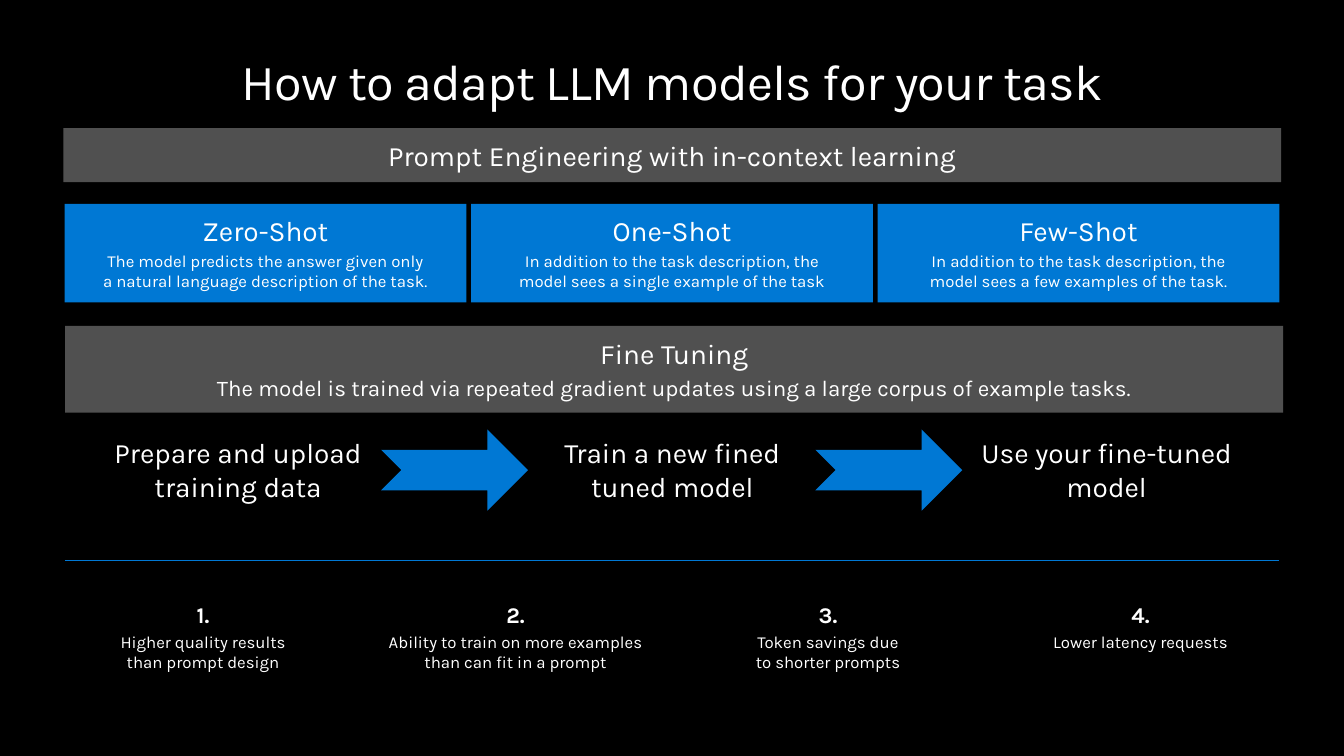
from copy import deepcopy

from pptx import Presentation
from pptx.dml.color import RGBColor
from pptx.enum import shapes, text
from pptx.oxml.ns import qn
from pptx.util import Pt
from lxml import etree

BLACK, WHITE, BLUE, GREY = "000000", "FFFFFF", "0078D4", "505050"


def paint(fill, color):
    fill.solid()
    fill.fore_color.rgb = RGBColor.from_string(color)


def write(shape, words, size=20, bold=False, before=0, after=0, spacing=0,
          margins=(7.2, 7.2), anchor=text.MSO_ANCHOR.TOP):
    """Add a centred paragraph to the shape, filling its empty first one if any."""
    frame = shape.text_frame
    frame.word_wrap = True
    frame.vertical_anchor = anchor
    frame.margin_left = frame.margin_right = Pt(margins[0])
    frame.margin_top = frame.margin_bottom = Pt(margins[1])
    paragraph = frame.add_paragraph() if frame.text else frame.paragraphs[0]
    paragraph.text = words
    paragraph.alignment = text.PP_ALIGN.CENTER
    paragraph.space_before, paragraph.space_after = Pt(before), Pt(after)
    for run in paragraph.runs:
        run.font.name, run.font.size, run.font.bold = "Karla", Pt(size), bold
        paint(run.font.fill, WHITE)
        if spacing:
            run.font._element.set("spc", str(int(spacing * 100)))
    # Line breaks take the run format, so that they keep the line height
    for line_break in paragraph._p.findall(qn("a:br")):
        line_break.insert(0, deepcopy(paragraph.runs[0].font._element))


deck = Presentation()
deck.slide_width, deck.slide_height = Pt(960), Pt(540)
slide = deck.slides.add_slide(deck.slide_layouts[5])
paint(slide.background.fill, BLACK)

# Title
title = slide.shapes.title
title.left, title.top, title.width, title.height = Pt(46), Pt(36), Pt(868), Pt(44)
write(title, "How to adapt LLM models for your task", size=36, spacing=-0.5, margins=(0, 0))

# Filled panels: two grey bands and three blue cards
panels = [
    (45.2, 91.6, 870, 38.6, GREY, "Prompt Engineering with in-context learning", None, 0),
    (46.6, 232.8, 870, 62, GREY, "Fine Tuning",
     "The model is trained via repeated gradient updates using a large corpus of example tasks.", 16),
]
shots = [
    ("Zero-Shot", "The model predicts the answer given only\va natural language description of the task."),
    ("One-Shot", "In addition to the task description, the\vmodel sees a single example of the task"),
    ("Few-Shot", "In addition to the task description, the\vmodel sees a few examples of the task."),
]
for column, (heading, detail) in enumerate(shots):
    panels.append((46.1 + column * 290.4, 145.6, 287, 70.4, BLUE, heading, detail, 12))

for left, top, width, height, color, heading, detail, detail_size in panels:
    panel = slide.shapes.add_shape(shapes.MSO_SHAPE.RECTANGLE, Pt(left), Pt(top), Pt(width), Pt(height))
    panel.shadow.inherit = False
    paint(panel.fill, color)
    panel.line.fill.background()
    write(panel, heading)
    if detail:
        write(panel, detail, size=detail_size, before=detail_size * 0.2)

# Fine-tuning steps with an arrow between each two
STEP_PITCH = 310.2
steps = ["Prepare and upload training data", "Train a new fined tuned model", "Use your fine-tuned model"]
for column, step_words in enumerate(steps):
    step = slide.shapes.add_textbox(Pt(65.6 + column * STEP_PITCH), Pt(314.4), Pt(209), Pt(42))
    write(step, step_words, margins=(14.4, 11.5), anchor=text.MSO_ANCHOR.MIDDLE)
    if column < len(steps) - 1:
        arrow = slide.shapes.add_shape(shapes.MSO_SHAPE.NOTCHED_RIGHT_ARROW,
                                       Pt(272.2 + column * STEP_PITCH), Pt(306.8), Pt(105), Pt(58))
        arrow.shadow.inherit = False
        paint(arrow.fill, BLUE)
        arrow.line.fill.background()

# Divider
divider = slide.shapes.add_connector(shapes.MSO_CONNECTOR.STRAIGHT, Pt(46.6), Pt(400.3), Pt(913.6), Pt(400.3))
paint(divider.line.fill, BLUE)
divider.line.width = Pt(0.75)
etree.SubElement(divider._element.spPr, qn("a:effectLst"))

# Numbered benefits
benefits = [
    "Higher quality results\vthan prompt design",
    "Ability to train on more examples than can fit in a prompt",
    "Token savings due\vto shorter prompts",
    "Lower latency requests",
]
for column, benefit_words in enumerate(benefits):
    benefit = slide.shapes.add_textbox(Pt(46.6 + column * 223.2), Pt(422), Pt(197), Pt(66))
    write(benefit, f"{column + 1}.", size=16, bold=True, after=3)
    write(benefit, benefit_words, size=12, after=3)

deck.save("out.pptx")
